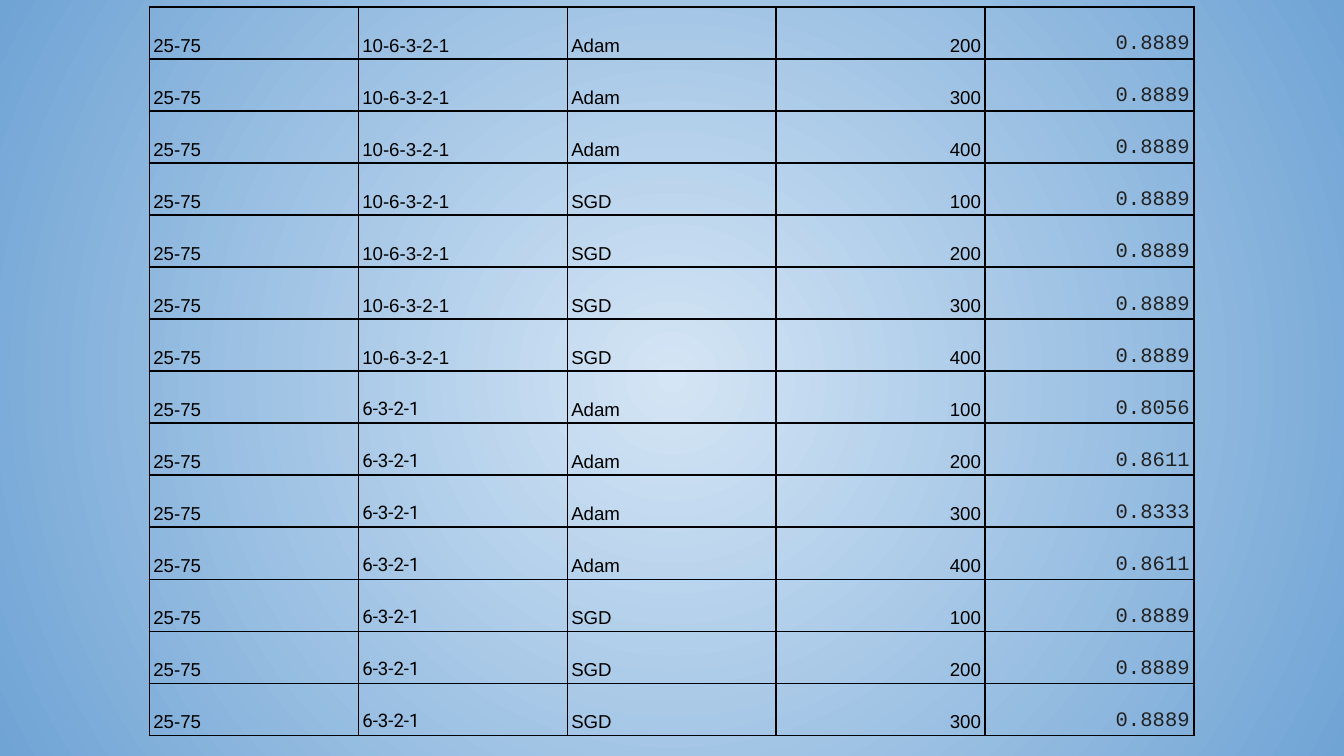
import dataclasses

import pptx
import pptx.dml.color
import pptx.enum.text
import pptx.oxml
import pptx.oxml.ns
import pptx.util

Pt = pptx.util.Pt
ALIGN = pptx.enum.text.PP_ALIGN


@dataclasses.dataclass(frozen=True)
class Theme:
    glow: str = "D4E5F5"
    edge: str = "70A4D5"
    ink: str = "000000"
    score_ink: str = "212121"
    text_size: float = 10
    score_size: float = 11
    text_font: str = "Arial"
    short_network_font: str = "Roboto"
    score_font: str = "Courier New"
    border: float = 0.75


THEME = Theme()
SPLIT = "25-75"
DEEP, SHALLOW = "10-6-3-2-1", "6-3-2-1"
EXPERIMENTS = [
    (DEEP, "Adam", 200, ["0.8889", "0.8889", "0.8889"]),
    (DEEP, "SGD", 100, ["0.8889", "0.8889", "0.8889", "0.8889"]),
    (SHALLOW, "Adam", 100, ["0.8056", "0.8611", "0.8333", "0.8611"]),
    (SHALLOW, "SGD", 100, ["0.8889", "0.8889", "0.8889"]),
]
EPOCH_STEP = 100
COLUMN_WIDTH, ROW_HEIGHT = Pt(111.95), Pt(27.87)


def rgb(value):
    return pptx.dml.color.RGBColor.from_string(value)


def result_rows():
    return [
        (SPLIT, network, optimizer, str(first_epochs + EPOCH_STEP * step), score)
        for network, optimizer, first_epochs, scores in EXPERIMENTS
        for step, score in enumerate(scores)
    ]


def paint_background(slide):
    fill = slide.background.fill
    fill.gradient()
    for stop, color in zip(fill.gradient_stops, (THEME.glow, THEME.edge)):
        stop.color.rgb = rgb(color)
    gradient = slide.element.find(".//" + pptx.oxml.ns.qn("a:gradFill"))
    direction = gradient.find(pptx.oxml.ns.qn("a:lin"))
    radial = pptx.oxml.parse_xml(
        f'<a:path {pptx.oxml.ns.nsdecls("a")} path="circle">'
        '<a:fillToRect l="50000" t="50000" r="50000" b="50000"/></a:path>'
    )
    gradient.replace(direction, radial)


def draw_borders(cell):
    properties = cell._tc.get_or_add_tcPr()
    for side in ("lnL", "lnR", "lnT", "lnB"):
        properties.append(pptx.oxml.parse_xml(
            f'<a:{side} {pptx.oxml.ns.nsdecls("a")} w="{Pt(THEME.border)}">'
            f'<a:solidFill><a:srgbClr val="{THEME.ink}"/></a:solidFill></a:{side}>'
        ))


def write_cell(cell, text, font, size, color, alignment):
    draw_borders(cell)
    cell.fill.background()
    cell.vertical_anchor = pptx.enum.text.MSO_ANCHOR.BOTTOM
    cell.margin_left = cell.margin_right = Pt(2.25)
    cell.margin_top = cell.margin_bottom = Pt(1.5)
    paragraph = cell.text_frame.paragraphs[0]
    paragraph.alignment = alignment
    paragraph.line_spacing = 1.15
    run = paragraph.add_run()
    run.text = text
    run.font.name = font
    run.font.size = Pt(size)
    run.font.color.rgb = rgb(color)


def add_results(slide, results):
    columns = len(results[0])
    table = slide.shapes.add_table(
        len(results), columns, Pt(79.95), Pt(3.75),
        COLUMN_WIDTH * columns, ROW_HEIGHT * len(results),
    ).table
    table.first_row = False
    table.horz_banding = False
    for column in table.columns:
        column.width = COLUMN_WIDTH
    for row, result in zip(table.rows, results):
        row.height = ROW_HEIGHT
        network_font = THEME.short_network_font if result[1] == SHALLOW else THEME.text_font
        plain = (THEME.text_size, THEME.ink)
        styles = [
            (THEME.text_font, *plain, ALIGN.LEFT),
            (network_font, *plain, ALIGN.LEFT),
            (THEME.text_font, *plain, ALIGN.LEFT),
            (THEME.text_font, *plain, ALIGN.RIGHT),
            (THEME.score_font, THEME.score_size, THEME.score_ink, ALIGN.RIGHT),
        ]
        for cell, text, style in zip(row.cells, result, styles):
            write_cell(cell, text, *style)


def main():
    deck = pptx.Presentation()
    deck.slide_width, deck.slide_height = Pt(720), Pt(405)
    slide = deck.slides.add_slide(deck.slide_layouts[6])
    paint_background(slide)
    add_results(slide, result_rows())
    deck.save("out.pptx")


if __name__ == "__main__":
    main()
